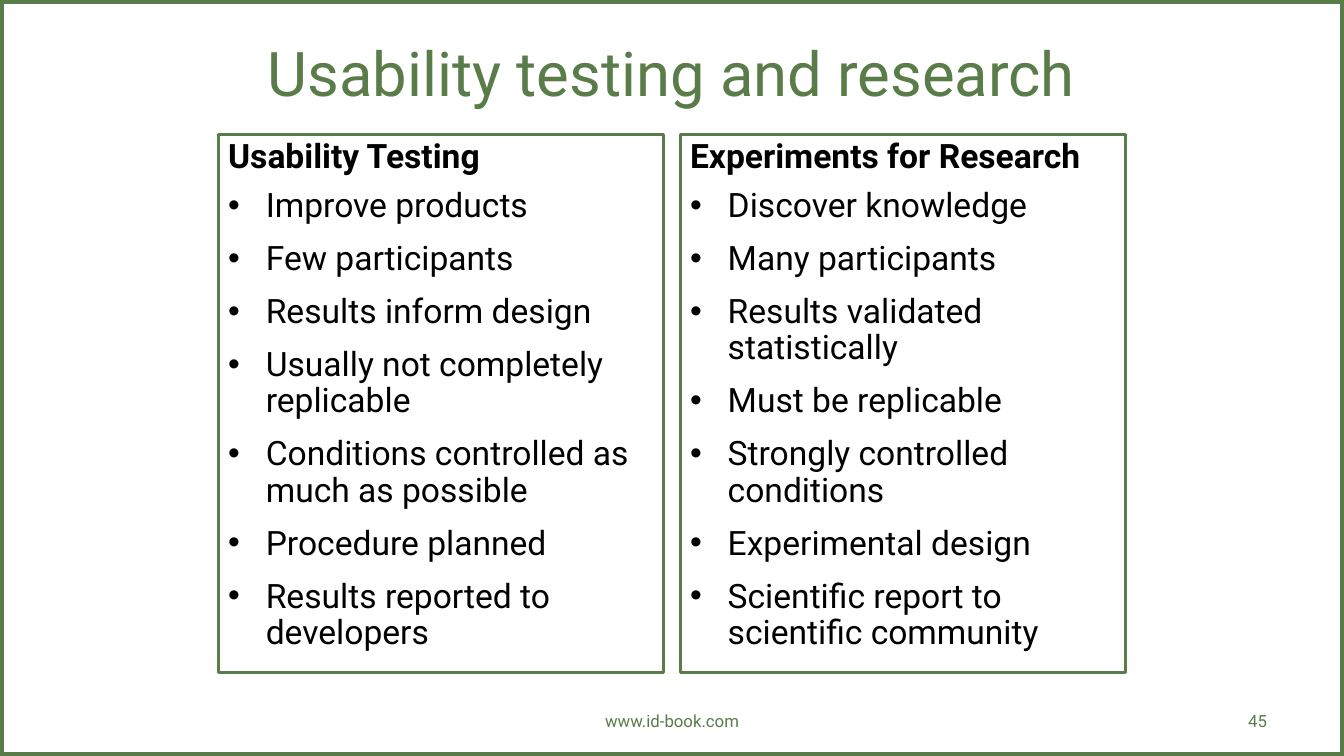
from lxml import etree
from pptx import Presentation
from pptx.dml.color import RGBColor
from pptx.enum import shapes, text
from pptx.oxml import ns
from pptx.util import Cm, Pt

GREEN = RGBColor(0x59, 0x7C, 0x49)
BLACK = RGBColor(0, 0, 0)
FONT = "Roboto"
WIDTH, HEIGHT = Cm(33.87), Cm(19.05)
INDENT = Cm(0.95)

TESTING = [
    "Improve products",
    "Few participants",
    "Results inform design",
    "Usually not completely replicable",
    "Conditions controlled as much as possible",
    "Procedure planned",
    "Results reported to developers",
]
RESEARCH = [
    "Discover knowledge",
    "Many participants",
    "Results validated statistically",
    "Must be replicable",
    "Strongly controlled conditions",
    "Experimental design",
    "Scientific report to scientific community",
]


def set_font(para, size, color, bold=False):
    font = para.font
    font.name = FONT
    font.size = Pt(size)
    font.bold = bold
    font.color.rgb = color


def add_frame(slide, left, top, width, height, weight):
    """Add an unfilled rectangle with a green outline."""
    frame = slide.shapes.add_shape(
        shapes.MSO_SHAPE.RECTANGLE, left, top, width, height)
    frame.shadow.inherit = False
    frame.fill.background()
    frame.line.color.rgb = GREEN
    frame.line.width = Pt(weight)
    return frame


def add_label(slide, words, left, top, width, height, size, align):
    box = slide.shapes.add_textbox(left, top, width, height).text_frame
    box.word_wrap = True
    box.vertical_anchor = text.MSO_ANCHOR.MIDDLE
    para = box.paragraphs[0]
    para.text = words
    para.alignment = align
    set_font(para, size, GREEN)


def add_bullet(para):
    props = para._p.get_or_add_pPr()
    props.set("marL", str(INDENT))
    props.set("indent", str(-INDENT))
    face = etree.SubElement(props, ns.qn("a:buFont"))
    face.set("typeface", "Arial")
    mark = etree.SubElement(props, ns.qn("a:buChar"))
    mark.set("char", "•")


def add_column(slide, left, head, items):
    """Add a framed list under a bold heading."""
    frame = add_frame(slide, left, Cm(3.39), Cm(11.22), Cm(13.55), 2)
    body = frame.text_frame
    body.word_wrap = True
    body.vertical_anchor = text.MSO_ANCHOR.TOP
    for i, words in enumerate([head, *items]):
        para = body.add_paragraph() if i else body.paragraphs[0]
        para.text = words
        if i:
            add_bullet(para)
            para.space_before = Pt(9 if i == 1 else 12)
        para.alignment = text.PP_ALIGN.LEFT
        para.line_spacing = 0.9
        set_font(para, 24, BLACK, bold=i == 0)


def main():
    deck = Presentation()
    deck.slide_width, deck.slide_height = WIDTH, HEIGHT
    slide = deck.slides.add_slide(deck.slide_layouts[6])
    align = text.PP_ALIGN

    add_frame(slide, 0, 0, WIDTH, HEIGHT, 6)
    add_label(slide, "Usability testing and research",
              Cm(5.5), Cm(0.43), Cm(22.86), Cm(2.74), 44, align.CENTER)
    add_column(slide, Cm(5.5), "Usability Testing", TESTING)
    add_column(slide, Cm(17.14), "Experiments for Research", RESEARCH)
    add_label(slide, "www.id-book.com",
              Cm(11.58), Cm(17.66), Cm(10.72), Cm(1.01), 12, align.CENTER)
    add_label(slide, "45",
              Cm(24.28), Cm(17.66), Cm(7.9), Cm(1.01), 12, align.RIGHT)

    deck.save("out.pptx")


if __name__ == "__main__":
    main()
